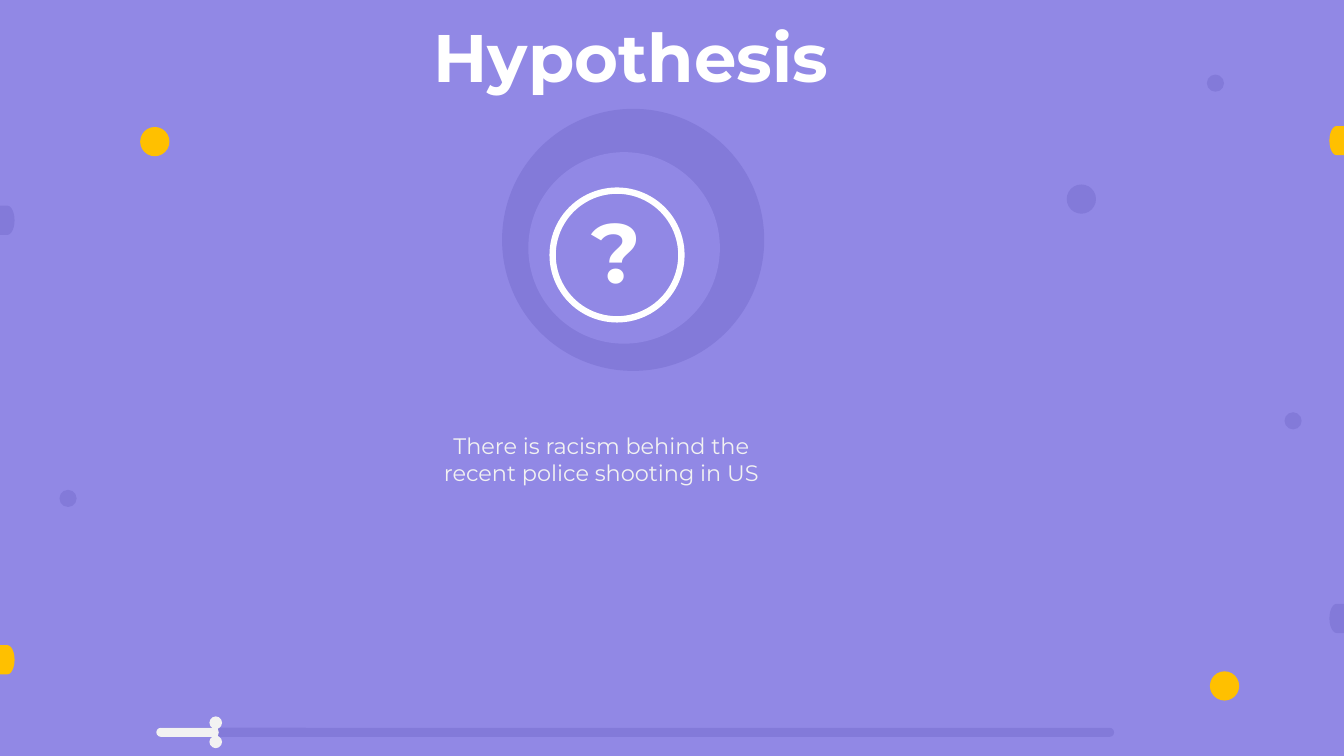
import math
from lxml import etree
from pptx import Presentation
from pptx.dml.color import RGBColor
from pptx.enum import shapes, text
from pptx.oxml import ns
from pptx.util import Inches, Pt

LILAC, VIOLET, AMBER, WHITE, PALE = "9188E5", "837AD9", "FFC000", "FFFFFF", "F2F2F2"
FONT = "Montserrat"
WIDTH, HEIGHT = 13.33, 7.5
SMALL, LARGE = 0.17, 0.29

RINGS = [(4.98, 1.08, 2.6, VIOLET), (5.24, 1.51, 1.9, LILAC)]
BADGE = (5.45, 1.86, 1.34)
DOTS = [
    (0.59, 4.86, SMALL, VIOLET),
    (1.39, 1.26, LARGE, AMBER),
    (12.74, 4.09, SMALL, VIOLET),
    (11.97, 0.74, SMALL, VIOLET),
    (12, 6.66, LARGE, AMBER),
    (10.58, 1.83, LARGE, VIOLET),
]
EDGE_DOTS = [
    ("left", 6.4, AMBER),
    ("left", 2.04, VIOLET),
    ("right", 5.99, VIOLET),
    ("right", 1.25, AMBER),
]
TEXTS = [
    ("There is racism behind the recent police shooting in US",
     (4.22, 4.24, 3.49, 0.64), 16, PALE, False, text.PP_ALIGN.CENTER, 0.1),
    ("Hypothesis", (4.02, 0.1, 5.29, 0.91), 48, WHITE, True, text.PP_ALIGN.LEFT, 0.28),
    ("?", (5.77, 1.93, 1.1, 1.11), 60, WHITE, True, text.PP_ALIGN.LEFT, 0.1),
]
BAR_LEFT, BAR_TOP, BAR_HEIGHT = 1.55, 7.22, 0.09
BARS = [(9.5, VIOLET), (0.62, PALE)]
MARKER_X, MARKER_TOP, MARKER_BOTTOM = 2.14, 7.17, 7.36
COVER_RIGHT, COVER_TOP = 1.7, 6.95
NOTCH_X, NOTCH_Y, NOTCH_RX, NOTCH_RY = 1.62, 7.245, 0.12, 0.085


def color(value):
    return RGBColor.from_string(value)


def paint(shape, fill):
    shape.shadow.inherit = False
    shape.fill.solid()
    shape.fill.fore_color.rgb = color(fill)
    shape.line.fill.background()
    return shape


def add_preset(page, kind, box, fill):
    return paint(page.shapes.add_shape(kind, *map(Inches, box)), fill)


def add_text(page, words, place, size, ink, bold, align, inset):
    box = page.shapes.add_textbox(*map(Inches, place))
    frame = box.text_frame
    frame.word_wrap = True
    frame.auto_size = text.MSO_AUTO_SIZE.SHAPE_TO_FIT_TEXT
    frame.margin_left = Inches(inset)
    para = frame.paragraphs[0]
    para.alignment = align
    span = para.add_run()
    span.text = words
    span.font.name = FONT
    span.font.size = Pt(size)
    span.font.bold = bold
    span.font.color.rgb = color(ink)


def add_marker(page):
    marker = page.shapes.add_connector(
        shapes.MSO_CONNECTOR.STRAIGHT, Inches(MARKER_X), Inches(MARKER_TOP),
        Inches(MARKER_X), Inches(MARKER_BOTTOM))
    marker.line.color.rgb = color(PALE)
    marker.line.width = Pt(3)
    line = marker.line._get_or_add_ln()
    for end in ("a:headEnd", "a:tailEnd"):
        etree.SubElement(line, ns.qn(end), type="oval")
    etree.SubElement(marker._element.spPr, ns.qn("a:effectLst"))


def add_cover(page):
    angles = [math.radians(degree) for degree in range(270, 89, -10)]
    notch = [(NOTCH_X + NOTCH_RX * math.cos(angle), NOTCH_Y + NOTCH_RY * math.sin(angle))
             for angle in angles]
    points = [(COVER_RIGHT, COVER_TOP), (COVER_RIGHT, NOTCH_Y - NOTCH_RY), *notch,
              (COVER_RIGHT, NOTCH_Y + NOTCH_RY), (COVER_RIGHT, HEIGHT), (0, HEIGHT)]
    outline = page.shapes.build_freeform(0, Inches(COVER_TOP))
    outline.add_line_segments([(Inches(x), Inches(y)) for x, y in points], close=True)
    paint(outline.convert_to_shape(), LILAC)


def main():
    deck = Presentation()
    deck.slide_width, deck.slide_height = Inches(WIDTH), Inches(HEIGHT)
    page = deck.slides.add_slide(deck.slide_layouts[6])
    page.background.fill.solid()
    page.background.fill.fore_color.rgb = color(LILAC)
    kinds = shapes.MSO_SHAPE

    for left, top, size, fill in RINGS + DOTS:
        add_preset(page, kinds.OVAL, (left, top, size, size), fill)
    left, top, size = BADGE
    badge = add_preset(page, kinds.DONUT, (left, top, size, size), WHITE)
    badge.adjustments[0] = 0.047

    for side, top, fill in EDGE_DOTS:
        left = 0 if side == "left" else WIDTH - LARGE / 2
        half = add_preset(page, kinds.FLOWCHART_DELAY, (left, top, LARGE / 2, LARGE), fill)
        half.rotation = 0 if side == "left" else 180

    for item in TEXTS:
        add_text(page, *item)

    for width, fill in BARS:
        bar = add_preset(page, kinds.ROUNDED_RECTANGLE,
                         (BAR_LEFT, BAR_TOP, width, BAR_HEIGHT), fill)
        bar.adjustments[0] = 0.5
    add_marker(page)
    add_cover(page)
    deck.save("out.pptx")


if __name__ == "__main__":
    main()
